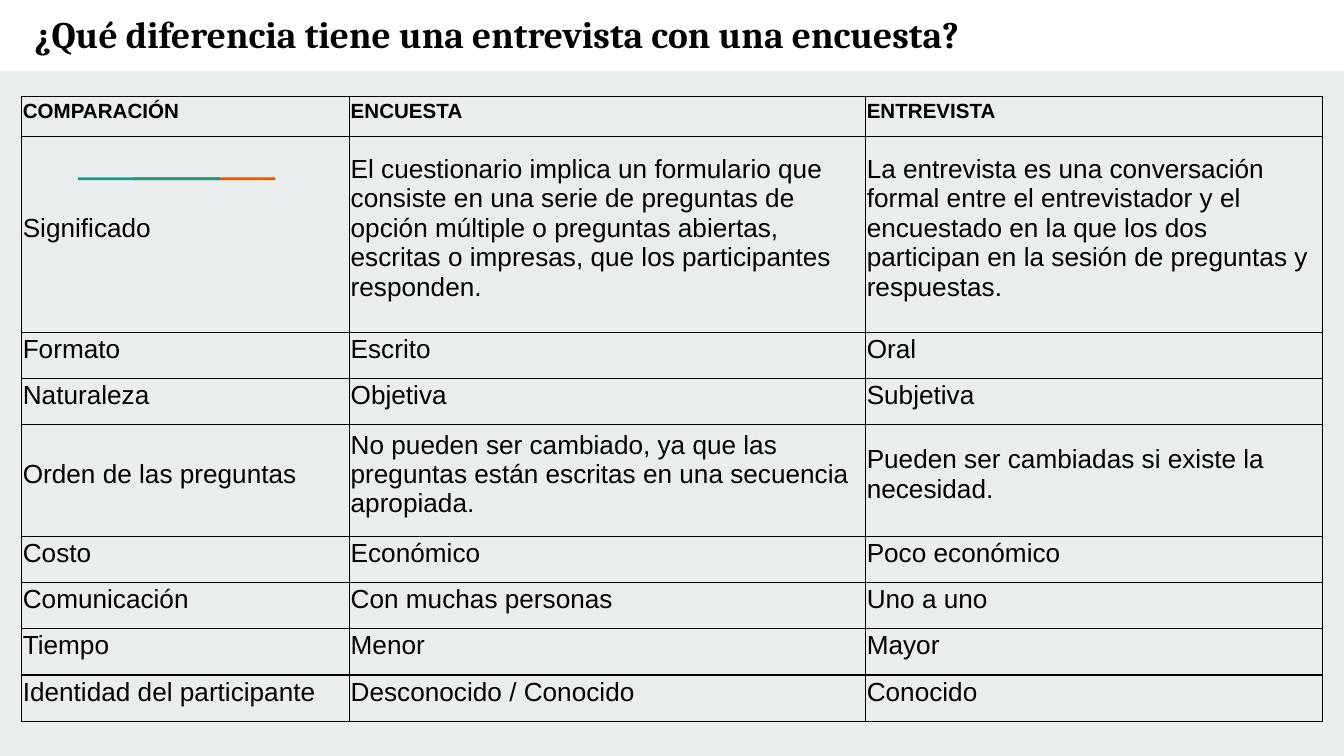
from lxml import etree
from pptx import Presentation
from pptx.dml.color import RGBColor
from pptx.enum.shapes import MSO_SHAPE
from pptx.enum.text import MSO_ANCHOR
from pptx.oxml.ns import qn
from pptx.util import Inches, Pt

RECTANGLE = MSO_SHAPE.RECTANGLE
BOTTOM, MIDDLE = MSO_ANCHOR.BOTTOM, MSO_ANCHOR.MIDDLE

BLACK = RGBColor(0x00, 0x00, 0x00)
WHITE = RGBColor(0xFF, 0xFF, 0xFF)
MIST = RGBColor(0xE9, 0xED, 0xEE)
ORANGE = RGBColor(0xEB, 0x56, 0x00)
TEAL = RGBColor(0x1A, 0x99, 0x88)

TITLE_FONT = {"name": "Cambria", "size": Pt(20), "bold": True}
HEADER_FONT = {"name": "Arial", "size": Pt(11), "bold": True}
BODY_FONT = {"name": "Arial", "size": Pt(14), "bold": False}
CELL_MARGINS = {"margin_left": Inches(0.01), "margin_right": Inches(0.01),
                "margin_top": Inches(0.01), "margin_bottom": Inches(0.1)}
TITLE_MARGINS = dict.fromkeys(CELL_MARGINS, Inches(0.1))

COLUMN_WIDTHS = [2.44, 3.84, 3.4]
LOW_ROW = 0.22
TALL_ROWS = {"Significado": 1.46, "Orden de las preguntas": 0.83}
COMPARISON = [
    ("COMPARACIÓN", "ENCUESTA", "ENTREVISTA"),
    ("Significado",
     "El cuestionario implica un formulario que consiste en una serie de preguntas de "
     "opción múltiple o preguntas abiertas, escritas o impresas, que los participantes "
     "responden.",
     "La entrevista es una conversación formal entre el entrevistador y el encuestado en "
     "la que los dos participan en la sesión de preguntas y respuestas."),
    ("Formato", "Escrito", "Oral"),
    ("Naturaleza", "Objetiva", "Subjetiva"),
    ("Orden de las preguntas",
     "No pueden ser cambiado, ya que las preguntas están escritas en una secuencia "
     "apropiada.",
     "Pueden ser cambiadas si existe la necesidad."),
    ("Costo", "Económico", "Poco económico"),
    ("Comunicación", "Con muchas personas", "Uno a uno"),
    ("Tiempo", "Menor", "Mayor"),
    ("Identidad del participante", "Desconocido / Conocido", "Conocido"),
]


def apply_format(target, values):
    """Set each named attribute of the target."""
    for name, value in values.items():
        setattr(target, name, value)


def write_text(frame, text, font):
    """Write one run of black text in the given font."""
    run = frame.paragraphs[0].add_run()
    run.text = text
    apply_format(run.font, font)
    run.font.color.rgb = BLACK


def add_bar(slide, left, top, width, height, color):
    """Add a plain filled bar."""
    bar = slide.shapes.add_shape(
        RECTANGLE, Inches(left), Inches(top), Inches(width), Inches(height))
    bar.shadow.inherit = False
    bar.fill.solid()
    bar.fill.fore_color.rgb = color
    bar.line.fill.background()


def add_title(slide, left, top, width, height):
    """Add the question on its white band."""
    add_bar(slide, left, top, width, height, WHITE)
    question = slide.shapes.add_textbox(
        Inches(left + 0.16), Inches(top - 0.02), Inches(8.16), Inches(height + 0.01))
    question.text_frame.word_wrap = True
    apply_format(question.text_frame, TITLE_MARGINS)
    write_text(question.text_frame,
               "¿Qué diferencia tiene una entrevista con una encuesta?", TITLE_FONT)


def add_accent(slide, left, top, width, height):
    """Add the two overlapping accent bars."""
    bar_width = 1.06
    add_bar(slide, left + width - bar_width, top, bar_width, height, ORANGE)
    add_bar(slide, left, top, bar_width, height, TEAL)


def outline_cell(cell):
    """Draw a thin black border on all sides of a cell."""
    properties = cell._tc.get_or_add_tcPr()
    for position, side in enumerate(("a:lnL", "a:lnR", "a:lnT", "a:lnB")):
        border = etree.Element(qn(side), w=str(Pt(0.75)))
        fill = etree.SubElement(border, qn("a:solidFill"))
        etree.SubElement(fill, qn("a:srgbClr"), val=str(BLACK))
        properties.insert(position, border)


def add_comparison(slide, left, top, width):
    """Add the table that compares survey and interview."""
    heights = [TALL_ROWS.get(row[0], LOW_ROW) for row in COMPARISON]
    table = slide.shapes.add_table(
        len(COMPARISON), len(COLUMN_WIDTHS), Inches(left), Inches(top),
        Inches(width), Inches(sum(heights))).table
    table.horz_banding = False
    table.first_row = False
    for column, column_width in zip(table.columns, COLUMN_WIDTHS):
        column.width = Inches(column_width)
    for index, (row, height, texts) in enumerate(zip(table.rows, heights, COMPARISON)):
        row.height = Inches(height)
        font, anchor = (BODY_FONT, MIDDLE) if index else (HEADER_FONT, BOTTOM)
        for cell, text in zip(row.cells, texts):
            apply_format(cell, {**CELL_MARGINS, "vertical_anchor": anchor})
            cell.fill.background()
            outline_cell(cell)
            write_text(cell.text_frame, text, font)


def main():
    """Build and save the slide."""
    deck = Presentation()
    deck.slide_width = Inches(10)
    deck.slide_height = deck.slide_width * 9 // 16
    slide = deck.slides.add_slide(deck.slide_layouts[6])
    slide.background.fill.solid()
    slide.background.fill.fore_color.rgb = MIST
    add_title(slide, 0, 0, 10, 0.53)
    add_accent(slide, 0.58, 1.32, 1.47, 0.02)
    add_comparison(slide, 0.16, 0.72, sum(COLUMN_WIDTHS))
    deck.save("out.pptx")


if __name__ == "__main__":
    main()
